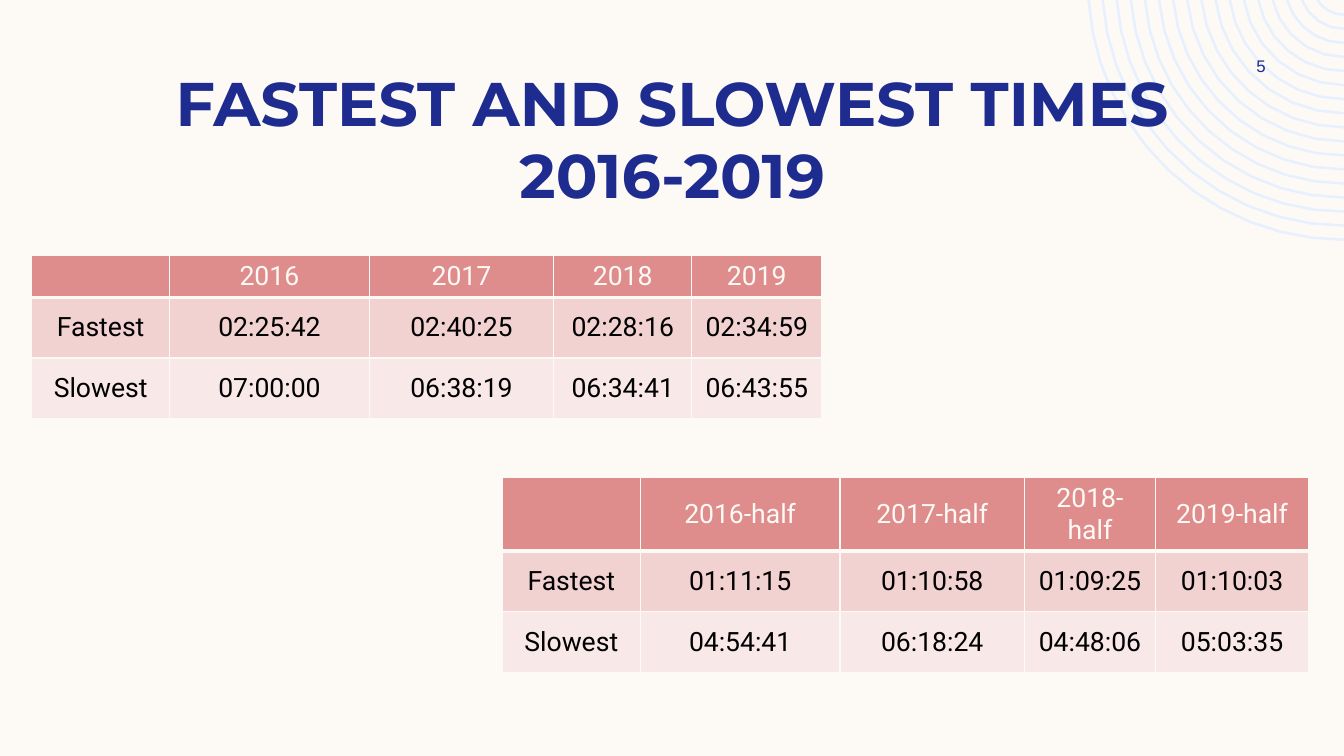
"""Build the slide of fastest and slowest race times for 2016-2019."""
from dataclasses import dataclass
from math import asin, cos, pi, sin

from lxml import etree
from pptx import Presentation
from pptx.dml.color import RGBColor
from pptx.enum.text import MSO_ANCHOR, PP_ALIGN
from pptx.oxml.ns import qn
from pptx.slide import Slide
from pptx.table import _Cell
from pptx.text.text import TextFrame
from pptx.util import Pt

CENTER = PP_ALIGN.CENTER
TOP, MIDDLE = MSO_ANCHOR.TOP, MSO_ANCHOR.MIDDLE
SLIDE_WIDTH, SLIDE_HEIGHT = 960, 540
COLORS = {
    "cream": "FDFAF6",
    "navy": "1F2C8F",
    "ring": "E6F0FE",
    "header": "DF8C8C",
    "fastest": "F2D1D1",
    "slowest": "F8E8E8",
    "black": "000000",
}
ROW_FILLS = ("header", "fastest", "slowest")
ROW_HEIGHTS = (30, 43.2, 43.2)


@dataclass(frozen=True)
class TimesTable:
    left: float
    top: float
    widths: tuple[float, ...]
    rows: tuple[tuple[str, ...], ...]


@dataclass(frozen=True)
class Label:
    text: str
    box: tuple[float, float, float, float]
    font: str
    size: float
    bold: bool
    anchor: MSO_ANCHOR
    spacing: float


FULL_RACE = TimesTable(22.6, 182.5, (98.6, 142.6, 131.8, 98.6, 92.9), (
    ("", "2016", "2017", "2018", "2019"),
    ("Fastest", "02:25:42", "02:40:25", "02:28:16", "02:34:59"),
    ("Slowest", "07:00:00", "06:38:19", "06:34:41", "06:43:55"),
))
HALF_RACE = TimesTable(358.8, 341, (98.6, 142.6, 131.8, 93.6, 109.4), (
    ("", "2016-half", "2017-half", "2018-half", "2019-half"),
    ("Fastest", "01:11:15", "01:10:58", "01:09:25", "01:10:03"),
    ("Slowest", "04:54:41", "06:18:24", "04:48:06", "05:03:35"),
))
HEADING = Label("FASTEST AND SLOWEST TIMES\v2016-2019", (59.8, 45.9, 841, 142),
                "Montserrat", 44, True, TOP, 0.97)
PAGE_NUMBER = Label("5", (861.8, 36, 77.8, 21.6), "Arial", 12, False, MIDDLE, 1)


def rgb(color: str) -> RGBColor:
    return RGBColor.from_string(COLORS[color])


def write(frame: TextFrame, text: str, *, font: str, size: float, color: str,
          bold: bool = False, spacing: float = 1) -> None:
    frame.word_wrap = True
    paragraph = frame.paragraphs[0]
    paragraph.text = text
    paragraph.alignment = CENTER
    paragraph.line_spacing = spacing
    for run in paragraph.runs:
        run.font.name = font
        run.font.size = Pt(size)
        run.font.bold = bold
        run.font.color.rgb = rgb(color)


def draw_label(slide: Slide, label: Label) -> None:
    frame = slide.shapes.add_textbox(*map(Pt, label.box)).text_frame
    frame.vertical_anchor = label.anchor
    write(frame, label.text, font=label.font, size=label.size, color="navy",
          bold=label.bold, spacing=label.spacing)


def arc(radius: float, steps: int) -> list[tuple[int, int]]:
    center_y = -11.5
    start = asin(-center_y / radius)
    angles = [start + (pi / 2 - start) * step / steps for step in range(steps + 1)]
    return [(Pt(SLIDE_WIDTH - radius * cos(angle)), Pt(center_y + radius * sin(angle)))
            for angle in angles]


def draw_rings(slide: Slide) -> None:
    count, smallest, gap = 17, 22.1, 10.04
    arcs = [arc(smallest + gap * ring, 4 + ring // 2) for ring in range(count)]
    builder = slide.shapes.build_freeform(*arcs[0][0])
    for points in arcs:
        builder.move_to(*points[0])
        builder.add_line_segments(points[1:], close=False)
    rings = builder.convert_to_shape()
    rings.shadow.inherit = False
    rings.fill.background()
    rings.line.color.rgb = rgb("ring")
    rings.line.width = Pt(1.8)


def set_borders(cell: _Cell, *, top: float, bottom: float) -> None:
    properties = cell._tc.get_or_add_tcPr()
    for side, width in (("L", 1), ("R", 1), ("T", top), ("B", bottom)):
        border = etree.SubElement(properties, qn(f"a:ln{side}"), w=str(Pt(width)))
        fill = etree.SubElement(border, qn("a:solidFill"))
        etree.SubElement(fill, qn("a:srgbClr"), val=COLORS["cream"])


def draw_times(slide: Slide, times: TimesTable) -> None:
    table = slide.shapes.add_table(
        len(times.rows), len(times.widths), Pt(times.left), Pt(times.top),
        Pt(sum(times.widths)), Pt(sum(ROW_HEIGHTS))).table
    table.horz_banding = False
    for column, width in zip(table.columns, times.widths):
        column.width = Pt(width)
    for index, (row, height, values) in enumerate(zip(table.rows, ROW_HEIGHTS, times.rows)):
        row.height = Pt(height)
        for cell, value in zip(row.cells, values):
            set_borders(cell, top=3 if index == 1 else 1, bottom=3 if index == 0 else 1)
            cell.fill.solid()
            cell.fill.fore_color.rgb = rgb(ROW_FILLS[index])
            cell.vertical_anchor = MIDDLE
            cell.margin_left = cell.margin_right = Pt(7.9)
            cell.margin_top = cell.margin_bottom = Pt(3.6)
            write(cell.text_frame, value, font="Roboto", size=19,
                  color="black" if index else "cream")


def main() -> None:
    presentation = Presentation()
    presentation.slide_width = Pt(SLIDE_WIDTH)
    presentation.slide_height = Pt(SLIDE_HEIGHT)
    slide = presentation.slides.add_slide(presentation.slide_layouts[6])
    slide.background.fill.solid()
    slide.background.fill.fore_color.rgb = rgb("cream")
    draw_rings(slide)
    draw_label(slide, HEADING)
    draw_times(slide, FULL_RACE)
    draw_label(slide, PAGE_NUMBER)
    draw_times(slide, HALF_RACE)
    presentation.save("out.pptx")


main()
